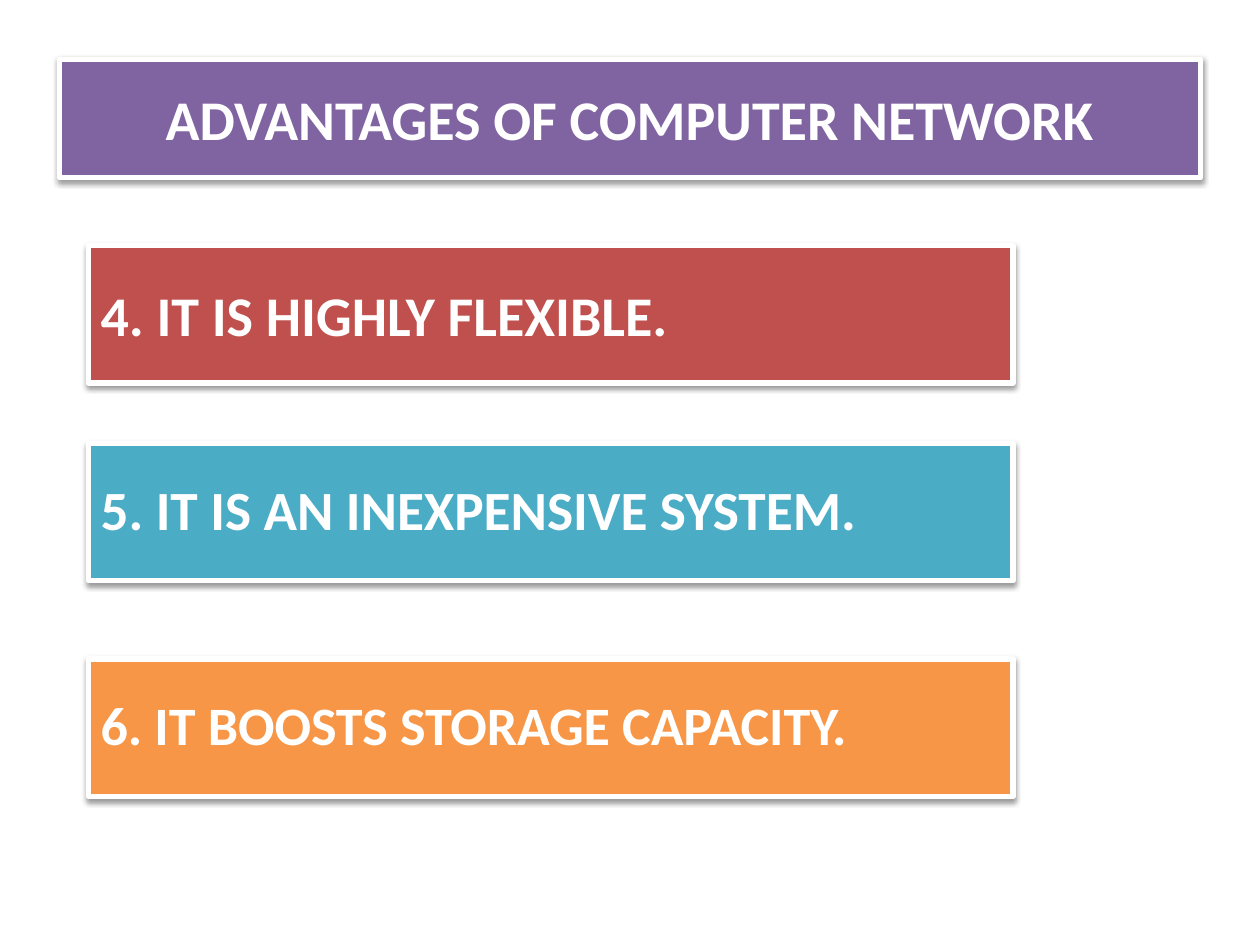
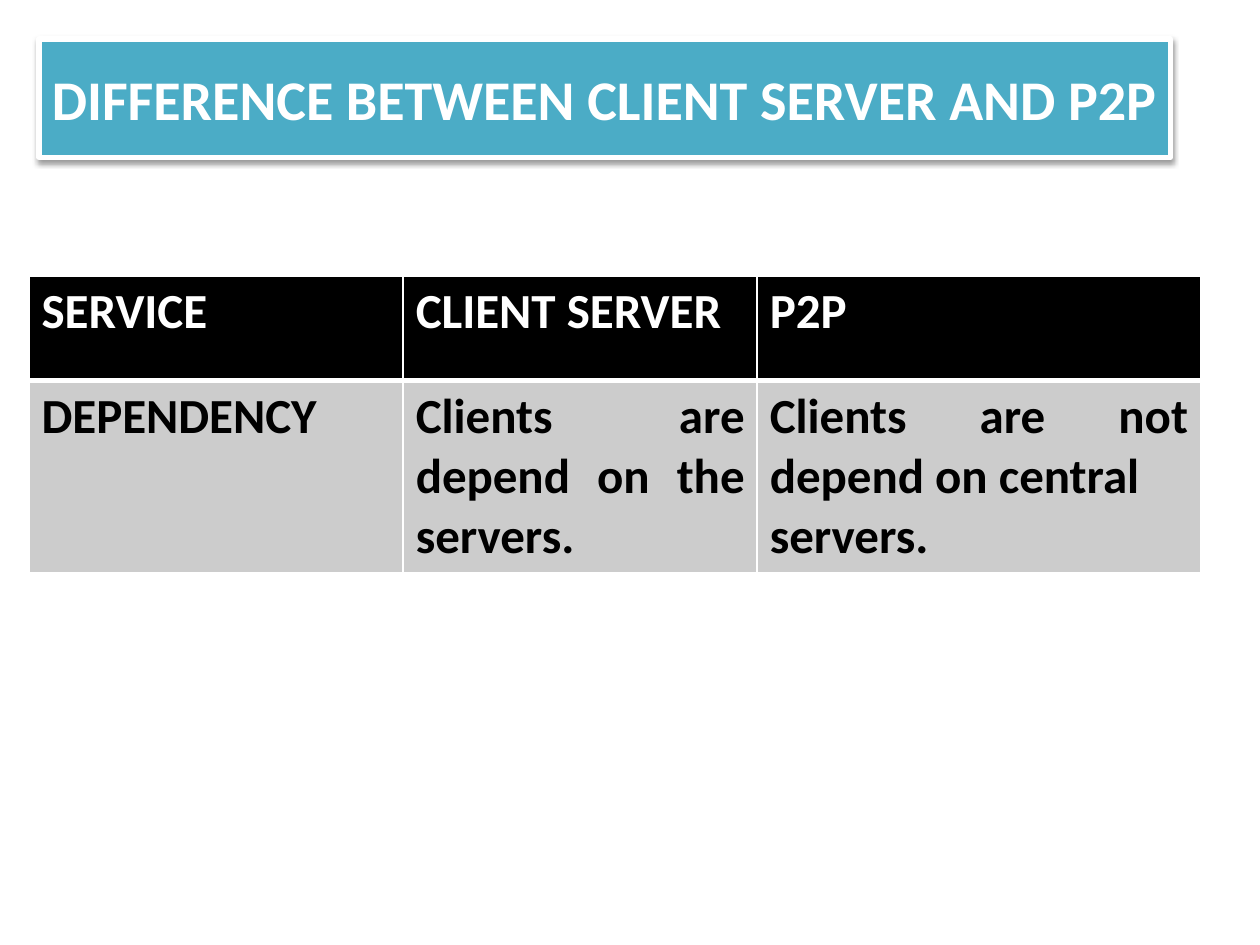
from lxml import etree
from pptx import Presentation
from pptx import util as u
from pptx.dml.color import RGBColor
from pptx.enum import shapes, text
from pptx.oxml import parse_xml
from pptx.oxml.ns import nsdecls, qn

EMU_PER_PX = 9144
FONT = "Calibri"
WHITE, BLACK, GREY = "FFFFFF", "000000", "CCCCCC"
RED, TEAL, ORANGE, PURPLE = "C0504D", "4BACC6", "F79646", "8064A2"
THIN, THICK = 0.96, 3
LEFT, CENTER, JUSTIFY = text.PP_ALIGN.LEFT, text.PP_ALIGN.CENTER, text.PP_ALIGN.JUSTIFY


def px(length):
    """Turn px, at 100 to the inch, into EMU."""
    return u.Emu(length * EMU_PER_PX)


def color(value):
    """Turn a hex string into a colour."""
    return RGBColor.from_string(value)


def add_page(deck):
    """Add a slide with the blank layout."""
    return deck.slides.add_slide(deck.slide_layouts[6])


def write(frame, words, size, ink, align, line_spacing=None):
    """Fill a text frame with bold text, one paragraph a line."""
    frame.text = words
    for para in frame.paragraphs:
        para.alignment = align
        if line_spacing:
            para.line_spacing = line_spacing
        for span in para.runs:
            span.font.name = FONT
            span.font.size = u.Pt(size)
            span.font.bold = True
            span.font.color.rgb = color(ink)


def add_shadow(box):
    """Give a shape the soft shadow that falls straight down."""
    effects = parse_xml(
        f'<a:effectLst {nsdecls("a")}>'
        f'<a:outerShdw blurRad="{u.Pt(3.1)}" dist="{u.Pt(1.6)}" dir="5400000" rotWithShape="0">'
        f'<a:srgbClr val="{BLACK}"><a:alpha val="38000"/></a:srgbClr>'
        "</a:outerShdw></a:effectLst>"
    )
    box.shadow.inherit = False
    properties = box.element.spPr
    properties.replace(properties.find(qn("a:effectLst")), effects)


def add_banner(page, place, fill, words, size=32, align=LEFT, line_spacing=None):
    """Add a filled, white-edged band with text."""
    box = page.shapes.add_shape(shapes.MSO_SHAPE.RECTANGLE, *map(px, place))
    box.fill.solid()
    box.fill.fore_color.rgb = color(fill)
    box.line.color.rgb = color(WHITE)
    box.line.width = u.Pt(3)
    add_shadow(box)
    frame = box.text_frame
    frame.word_wrap = True
    frame.vertical_anchor = text.MSO_ANCHOR.MIDDLE
    write(frame, words, size, WHITE, align, line_spacing)


def add_title(page, left, top, width, fill, words):
    """Add the title band of a slide."""
    add_banner(page, (left, top, width, 94), fill, words, align=CENTER)


def set_borders(cell, widths):
    """Draw white cell borders, given left, right, top and bottom widths."""
    properties = cell._tc.get_or_add_tcPr()
    for index, (side, width) in enumerate(zip("LRTB", widths)):
        line = etree.Element(qn(f"a:ln{side}"), w=str(u.Pt(width)))
        fill = etree.SubElement(line, qn("a:solidFill"))
        etree.SubElement(fill, qn("a:srgbClr"), val=WHITE)
        properties.insert(index, line)


def add_comparison(page, left, top, columns, heights, rows):
    """Add a table with a black header row and grey body rows."""
    place = (left, top, sum(columns), sum(heights))
    table = page.shapes.add_table(len(rows), len(columns), *map(px, place)).table
    for column, width in zip(table.columns, columns):
        column.width = px(width)
    for row, height, entries in zip(table.rows, heights, rows):
        row.height = px(height)
        header = entries is rows[0]
        fill, ink = (BLACK, WHITE) if header else (GREY, BLACK)
        widths = (THIN, THIN, THIN, THICK) if header else (THIN, THIN, THICK, THIN)
        for number, (cell, words) in enumerate(zip(row.cells, entries)):
            cell.fill.solid()
            cell.fill.fore_color.rgb = color(fill)
            set_borders(cell, widths)
            align = LEFT if header or number == 0 else JUSTIFY
            write(cell.text_frame, words, 28, ink, align)


def build_advantages(deck):
    """Build the slide of numbered advantages."""
    page = add_page(deck)
    advantages = [
        (195, RED, "4. IT IS HIGHLY FLEXIBLE.", 32, None),
        (352, TEAL, "5. IT IS AN INEXPENSIVE SYSTEM.", 31.6, 0.9),
        (523, ORANGE, "6. IT BOOSTS STORAGE CAPACITY.", 30.9, 0.9),
    ]
    for top, fill, words, size, line_spacing in advantages:
        add_banner(page, (70, top, 734, 109), fill, words, size, line_spacing=line_spacing)
    add_title(page, 47, 47, 906, PURPLE, "ADVANTAGES OF COMPUTER NETWORK")


def build_difference(deck):
    """Build the slide that compares client server and P2P."""
    page = add_page(deck)
    add_title(page, 31, 31, 898, TEAL, "DIFFERENCE BETWEEN CLIENT SERVER AND P2P")
    rows = [
        ("SERVICE", "CLIENT SERVER", "P2P"),
        (
            "DEPENDENCY",
            "Clients are depend on the servers.",
            "Clients are not depend on central\nservers.",
        ),
    ]
    add_comparison(page, 23, 219, (297, 281, 352), (83, 152), rows)


def main():
    """Build and save the deck."""
    deck = Presentation()
    deck.slide_width, deck.slide_height = px(1000), px(750)
    build_advantages(deck)
    build_difference(deck)
    deck.save("out.pptx")


if __name__ == "__main__":
    main()
